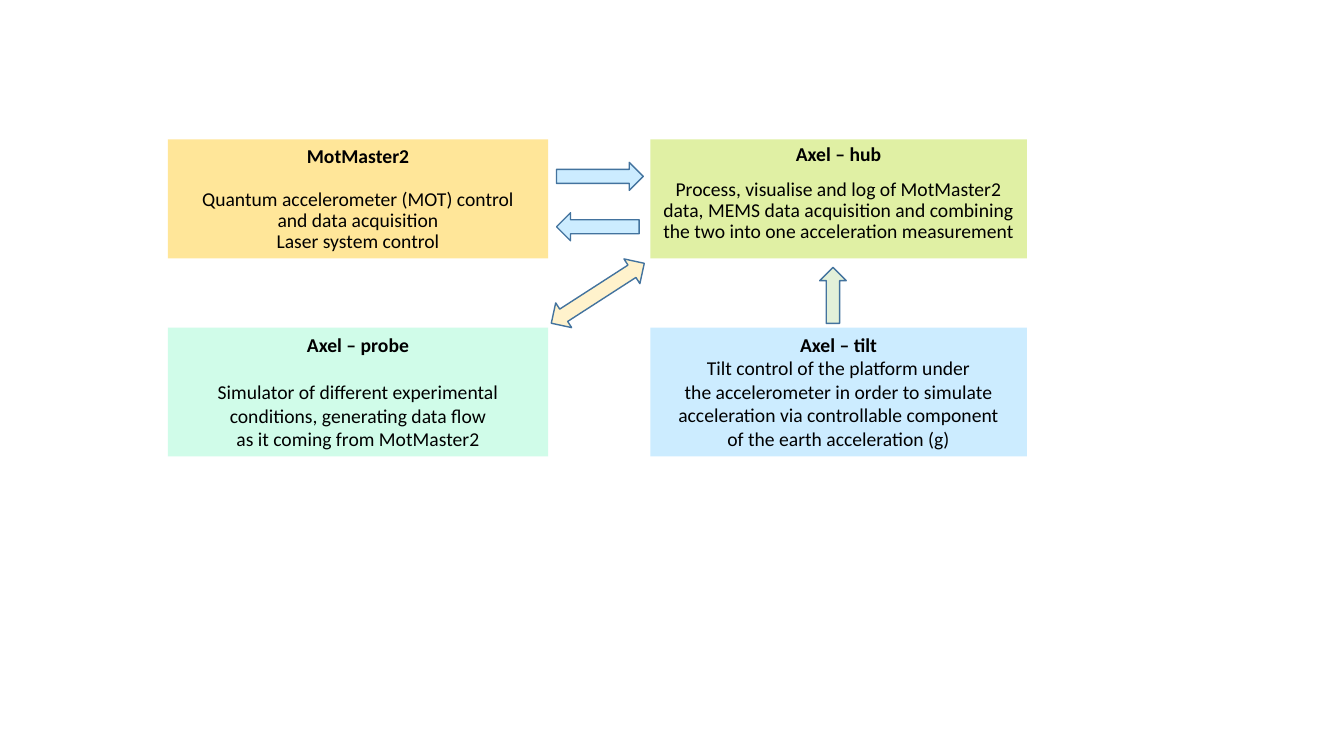
from dataclasses import dataclass

from pptx import Presentation
from pptx.dml.color import RGBColor
from pptx.enum import shapes as sh, text as tx
from pptx.util import Pt

HUES = {
    "gold": "FFE699", "lime": "E0F0A4", "mint": "D0FCE9", "sky": "CCECFF",
    "sage": "E2F0D9", "cream": "FFF2CC", "edge": "43739E", "ink": "000000",
}
FONT, SIZE = "Calibri", 14
LEFT, RIGHT = (120, 271.5), (464.5, 269)  # column left, width
TOP, LOW = (99.5, 85), (234, 92)  # row top, height


@dataclass
class Box:
    col: tuple
    row: tuple
    hue: str
    head: str
    body: str
    gap: float  # between heading and body
    line: float = 1.0
    base: bool = False  # text sits at the bottom


@dataclass
class Arrow:
    kind: sh.MSO_SHAPE
    x: float
    y: float
    w: float
    h: float
    hue: str
    turn: float = 0


BOXES = [
    Box(LEFT, TOP, "gold", "MotMaster2",
        "Quantum accelerometer (MOT) control\vand data acquisition\v"
        "Laser system control", 15.5, 0.9, True),
    Box(RIGHT, TOP, "lime", "Axel – hub",
        "Process, visualise and log of MotMaster2\vdata, MEMS data acquisition "
        "and combining the two into one acceleration measurement", 10, 0.9),
    Box(LEFT, LOW, "mint", "Axel – probe",
        "Simulator of different experimental conditions, generating data flow\v"
        "as it coming from MotMaster2", 17),
    Box(RIGHT, LOW, "sky", "Axel – tilt",
        "Tilt control of the platform under\v"
        "the accelerometer in order to simulate\v"
        "acceleration via controllable component\v"
        "of the earth acceleration (g)", 0),
]
KIND = sh.MSO_SHAPE
ARROWS = [
    Arrow(KIND.RIGHT_ARROW, 397.5, 116, 62, 20, "sky"),
    Arrow(KIND.LEFT_ARROW, 397.5, 152, 59, 20, "sky"),
    Arrow(KIND.UP_ARROW, 585.5, 191, 19, 40, "sage"),
    Arrow(KIND.LEFT_RIGHT_ARROW, 387.5, 199, 79, 21, "cream", 147.2),
]


def tint(name: str) -> RGBColor:
    return RGBColor.from_string(HUES[name])


def paint(shape, hue: str) -> None:
    shape.fill.solid()
    shape.fill.fore_color.rgb = tint(hue)


def fill_box(shape, box: Box) -> None:
    """Place, colour and label one module box."""
    shape.left, shape.width = map(Pt, box.col)
    shape.top, shape.height = map(Pt, box.row)
    paint(shape, box.hue)
    shape.line.fill.background()
    frame = shape.text_frame
    frame.word_wrap = True
    frame.auto_size = tx.MSO_AUTO_SIZE.NONE
    frame.vertical_anchor = tx.MSO_ANCHOR.BOTTOM if box.base else tx.MSO_ANCHOR.TOP
    frame.text = f"{box.head}\n{box.body}"
    for para, bold, gap in zip(frame.paragraphs, (True, False), (0, box.gap)):
        para.alignment = tx.PP_ALIGN.CENTER
        para.line_spacing = box.line
        para.space_before = Pt(gap)
        for run in para.runs:
            font = run.font
            font.name, font.size, font.bold = FONT, Pt(SIZE), bold
            font.color.rgb = tint("ink")


def add_box(slide, box: Box) -> None:
    shape = slide.shapes.add_shape(KIND.RECTANGLE, 0, 0, Pt(1), Pt(1))
    shape.shadow.inherit = False
    fill_box(shape, box)


def add_arrow(slide, arrow: Arrow) -> None:
    shape = slide.shapes.add_shape(
        arrow.kind, Pt(arrow.x), Pt(arrow.y), Pt(arrow.w), Pt(arrow.h))
    shape.shadow.inherit = False
    shape.rotation = arrow.turn
    paint(shape, arrow.hue)
    shape.line.color.rgb = tint("edge")
    shape.line.width = Pt(1)


# Slide
deck = Presentation()
deck.slide_width, deck.slide_height = Pt(960), Pt(540)
slide = deck.slides.add_slide(deck.slide_layouts[5])

# Modules: the first one is the title
first, *rest = BOXES
fill_box(slide.shapes.title, first)
for box in rest:
    add_box(slide, box)

# Data flow
for arrow in ARROWS:
    add_arrow(slide, arrow)

deck.save("out.pptx")
